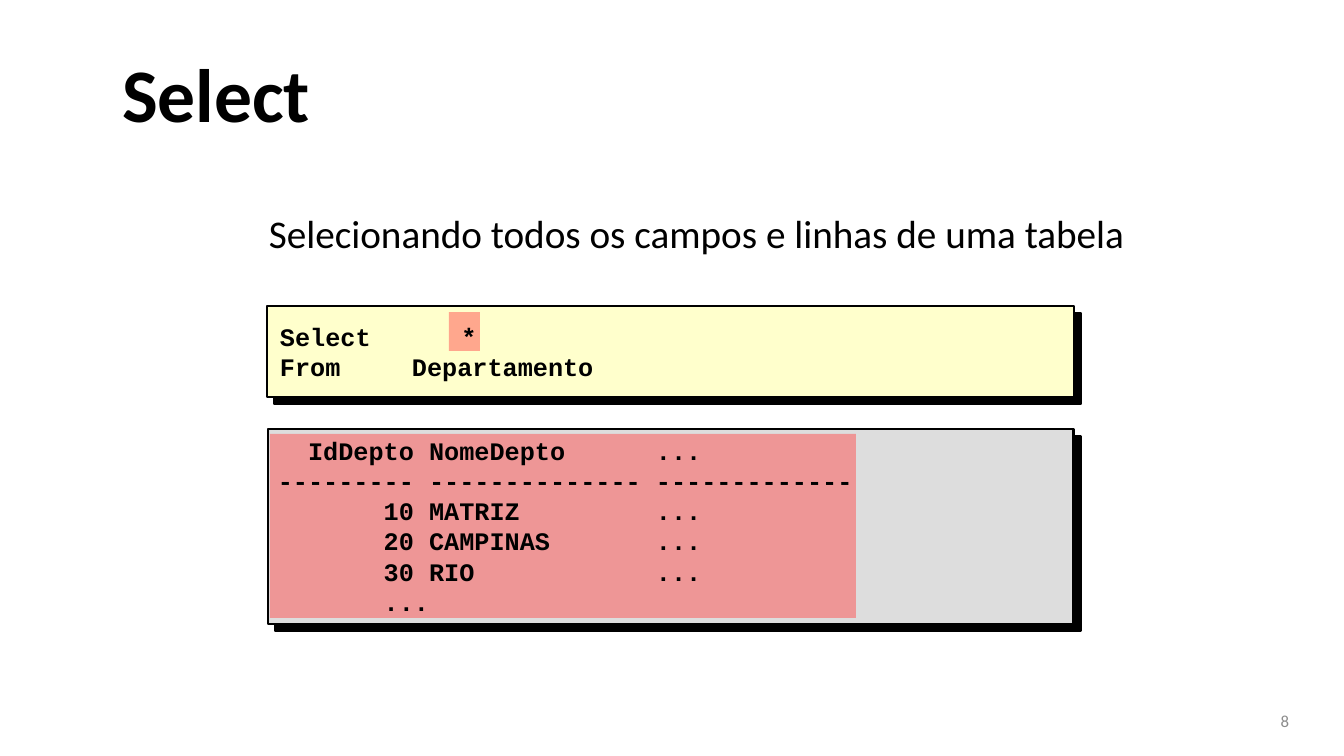
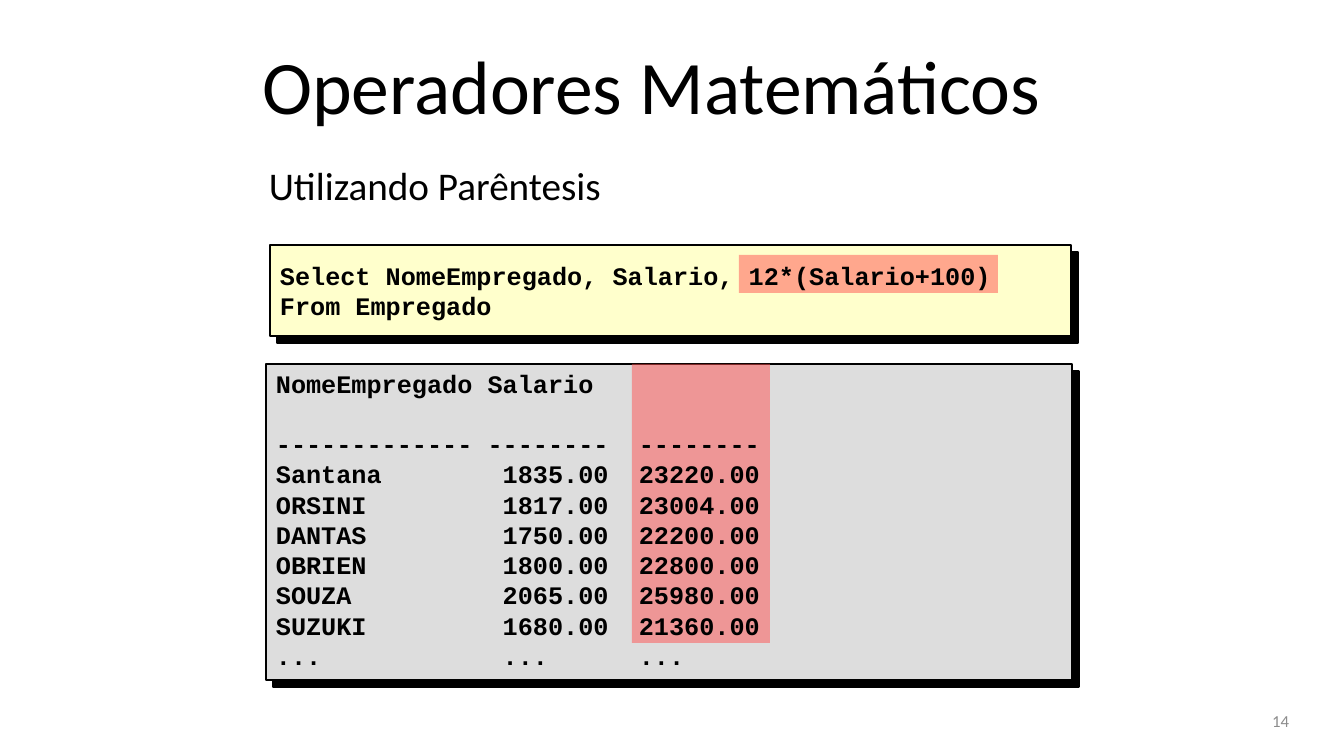
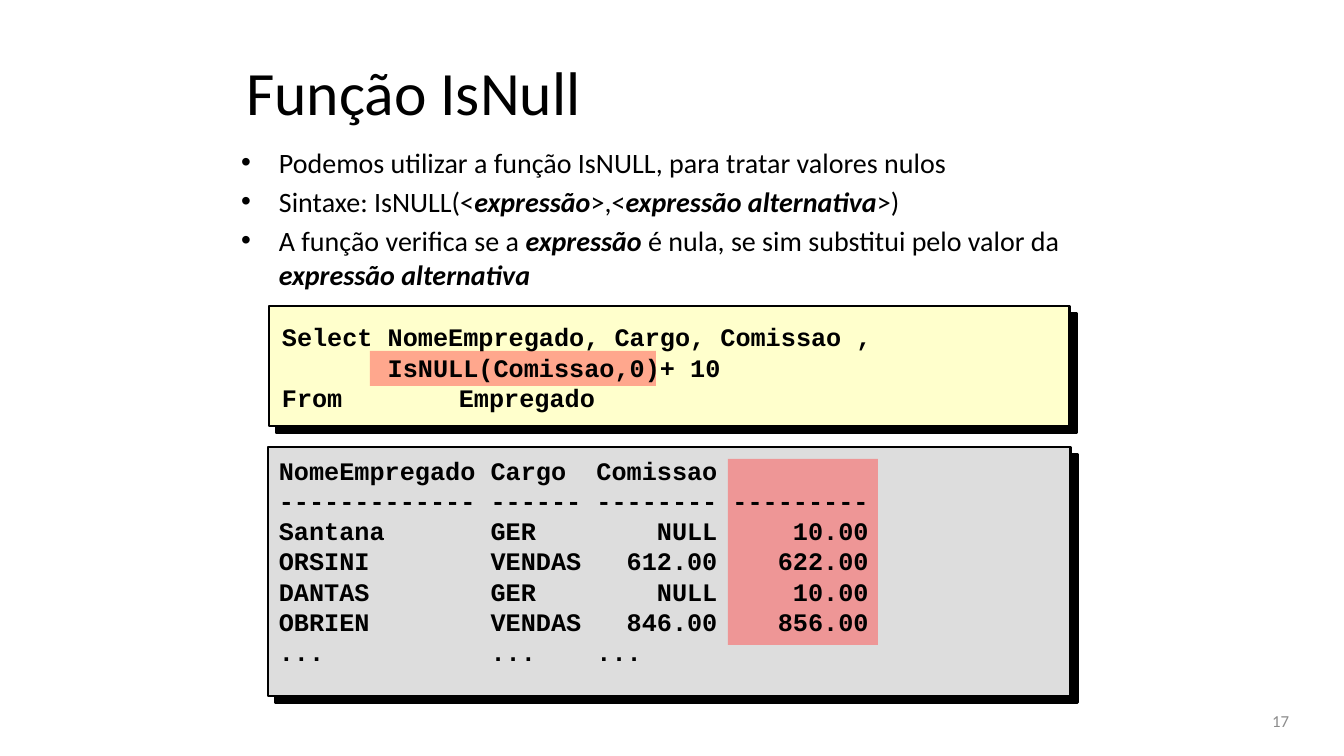
import dataclasses

import lxml.etree
import pptx
import pptx.dml.color
import pptx.enum.shapes
import pptx.enum.text
import pptx.oxml.ns
import pptx.util


@dataclasses.dataclass(frozen=True)
class Theme:
    black: str = "000000"
    page_gray: str = "8C8C8C"
    query_fill: str = "FFFFCC"
    result_fill: str = "DDDDDD"
    highlight: str = "FF5050"
    highlight_alpha: int = 50000
    heading_font: str = "Calibri"
    code_font: str = "Courier New"
    subtitle_size: int = 28
    bullet_size: int = 20
    code_size: int = 18
    page_size: int = 12
    border: int = 2
    shadow_distance: float = 7.1
    bullet_gap: int = 4
    header_gap: float = 21.6


THEME = Theme()
SLIDE_WIDTH, SLIDE_HEIGHT = 1344, 756
EMU_PER_PX = 12192000 / SLIDE_WIDTH
PAGE_BOX = (986, 701, 313, 40)
TITLE_ONLY, TITLE_AND_BODY = 5, 1
MIDDLE = pptx.enum.text.MSO_ANCHOR.MIDDLE
TOP = pptx.enum.text.MSO_ANCHOR.TOP
LEFT = pptx.enum.text.PP_ALIGN.LEFT
RIGHT = pptx.enum.text.PP_ALIGN.RIGHT

# Content: boxes are (left, top, width, height) in px; "shift" moves the code inside its panel.
# In bullets, odd-numbered pieces are emphasised.
SLIDES = [
    {
        "title": "Select", "title_box": (112, 29, 1187, 126), "title_size": 54, "title_bold": True,
        "subtitle": "Selecionando todos os campos e linhas de uma tabela",
        "subtitle_box": (259, 204, 914, 57),
        "query": {
            "box": (267, 306, 807, 91), "shift": (3, 0), "tab": 132,
            "highlight": (449, 312, 31, 39),
            "lines": ["Select      *", "From \tDepartamento"],
        },
        "result": {
            "box": (268, 429, 806, 195), "shift": (0, 1),
            "highlight": (270, 434, 586, 184),
            "lines": [
                "  IdDepto NomeDepto      ...",
                "--------- -------------- -------------",
                "       10 MATRIZ         ...",
                "       20 CAMPINAS       ...",
                "       30 RIO            ...",
                "       ...",
            ],
        },
        "page": "8",
    },
    {
        "title": "Operadores Matemáticos", "title_box": (252, 21, 890, 126), "title_size": 54,
        "subtitle": "Utilizando Parêntesis",
        "subtitle_box": (259, 156, 914, 57),
        "query": {
            "box": (270, 245, 801, 91), "shift": (0, 0),
            "highlight": (739, 255, 259, 38),
            "lines": ["Select NomeEmpregado, Salario, 12*(Salario+100)", "From Empregado"],
        },
        "result": {
            "box": (266, 364, 806, 316), "shift": (0, -1), "header_gap": THEME.header_gap,
            "highlight": (632, 364, 138, 279),
            "lines": [
                "NomeEmpregado Salario",
                "------------- --------  --------",
                "Santana        1835.00  23220.00",
                "ORSINI         1817.00  23004.00",
                "DANTAS         1750.00  22200.00",
                "OBRIEN         1800.00  22800.00",
                "SOUZA          2065.00  25980.00",
                "SUZUKI         1680.00  21360.00",
                "...            ...      ...",
            ],
        },
        "page": "14",
    },
    {
        "title": "Função IsNull", "title_box": (236, 25, 944, 132), "title_size": 44,
        "bullets": [
            ["Podemos utilizar a função IsNULL, para tratar valores nulos"],
            ["Sintaxe: IsNULL(<", "expressão", ">,<", "expressão alternativa", ">)"],
            ["A função verifica se a ", "expressão",
             " é nula, se sim substitui pelo valor da ", "expressão alternativa"],
        ],
        "bullets_box": (231, 140, 940, 136),
        "query": {
            "box": (269, 306, 801, 120), "shift": (3, 1), "tab": 177,
            "highlight": (370, 351, 286, 35),
            "lines": [
                "Select NomeEmpregado, Cargo, Comissao ,",
                "       IsNULL(Comissao,0)+ 10",
                "From\tEmpregado",
            ],
        },
        "result": {
            "box": (268, 447, 803, 249), "shift": (1, 3),
            "highlight": (728, 459, 150, 186),
            "lines": [
                "NomeEmpregado Cargo  Comissao",
                "------------- ------ -------- ---------",
                "Santana       GER        NULL     10.00",
                "ORSINI        VENDAS   612.00    622.00",
                "DANTAS        GER        NULL     10.00",
                "OBRIEN        VENDAS   846.00    856.00",
                "...           ...    ...",
            ],
        },
        "page": "17",
    },
]


def px(length):
    return pptx.util.Emu(round(length * EMU_PER_PX))


def rgb(color):
    return pptx.dml.color.RGBColor.from_string(color)


def sub(parent, tag, **attributes):
    return lxml.etree.SubElement(parent, pptx.oxml.ns.qn(tag), attributes)


def place(holder, box):
    holder.left, holder.top, holder.width, holder.height = map(px, box)


def prepare(frame, anchor):
    frame.word_wrap = True
    frame.auto_size = pptx.enum.text.MSO_AUTO_SIZE.NONE
    frame.vertical_anchor = anchor


def style(paragraph, size, color=THEME.black, font=THEME.heading_font, bold=False, align=LEFT):
    paragraph.alignment = align
    paragraph.font.name = font
    paragraph.font.size = pptx.util.Pt(size)
    paragraph.font.bold = bold
    paragraph.font.color.rgb = rgb(color)


def add_lines(slide, box, lines, size, anchor=TOP, tab=None, **look):
    frame = slide.shapes.add_textbox(*map(px, box)).text_frame
    prepare(frame, anchor)
    frame.text = "\n".join(lines)
    for paragraph in frame.paragraphs:
        if tab:
            stops = sub(paragraph._p.get_or_add_pPr(), "a:tabLst")
            sub(stops, "a:tab", pos=str(px(tab)), algn="l")
        style(paragraph, size, **look)
    return frame


def add_rectangle(slide, box, fill):
    rectangle = slide.shapes.add_shape(pptx.enum.shapes.MSO_SHAPE.RECTANGLE, *map(px, box))
    rectangle.shadow.inherit = False
    rectangle.fill.solid()
    rectangle.fill.fore_color.rgb = rgb(fill)
    return rectangle


def add_panel(slide, panel, fill, anchor):
    # Bordered panel with a hard offset shadow
    frame = add_rectangle(slide, panel["box"], fill)
    frame.line.color.rgb = rgb(THEME.black)
    frame.line.width = pptx.util.Pt(THEME.border)
    effects = frame._element.spPr.find(pptx.oxml.ns.qn("a:effectLst"))
    shadow = sub(effects, "a:outerShdw", dist=str(pptx.util.Pt(THEME.shadow_distance)),
                 dir="2700000", algn="ctr", rotWithShape="0")
    sub(shadow, "a:srgbClr", val=THEME.black)

    # Translucent highlight
    marker = add_rectangle(slide, panel["highlight"], THEME.highlight)
    marker.line.fill.background()
    color = marker._element.spPr.find(".//" + pptx.oxml.ns.qn("a:srgbClr"))
    sub(color, "a:alpha", val=str(THEME.highlight_alpha))

    # Code over both
    left, top, width, height = panel["box"]
    across, down = panel["shift"]
    code = add_lines(slide, (left + across, top + down, width, height), panel["lines"],
                     THEME.code_size, anchor, panel.get("tab"), font=THEME.code_font, bold=True)
    if "header_gap" in panel:
        code.paragraphs[0].space_after = pptx.util.Pt(panel["header_gap"])


def fill_title(slide, content):
    title = slide.shapes.title
    place(title, content["title_box"])
    prepare(title.text_frame, MIDDLE)
    title.text_frame.text = content["title"]
    style(title.text_frame.paragraphs[0], content["title_size"],
          bold=content.get("title_bold", False))


def fill_bullets(slide, content):
    body = slide.placeholders[1]
    place(body, content["bullets_box"])
    frame = body.text_frame
    prepare(frame, TOP)
    for index, pieces in enumerate(content["bullets"]):
        bullet = frame.add_paragraph() if index else frame.paragraphs[0]
        bullet.space_before = pptx.util.Pt(THEME.bullet_gap if index else 0)
        style(bullet, THEME.bullet_size)
        for position, piece in enumerate(pieces):
            run = bullet.add_run()
            run.text = piece
            if position % 2:
                run.font.bold = run.font.italic = True


def build_slide(deck, content):
    layout = TITLE_AND_BODY if "bullets" in content else TITLE_ONLY
    slide = deck.slides.add_slide(deck.slide_layouts[layout])
    fill_title(slide, content)
    if "bullets" in content:
        fill_bullets(slide, content)
    else:
        add_lines(slide, content["subtitle_box"], [content["subtitle"]], THEME.subtitle_size)
    add_panel(slide, content["query"], THEME.query_fill, MIDDLE)
    add_panel(slide, content["result"], THEME.result_fill, TOP)
    add_lines(slide, PAGE_BOX, [content["page"]], THEME.page_size, MIDDLE,
              color=THEME.page_gray, align=RIGHT)


def main():
    deck = pptx.Presentation()
    deck.slide_width, deck.slide_height = px(SLIDE_WIDTH), px(SLIDE_HEIGHT)
    for content in SLIDES:
        build_slide(deck, content)
    deck.save("out.pptx")


if __name__ == "__main__":
    main()
